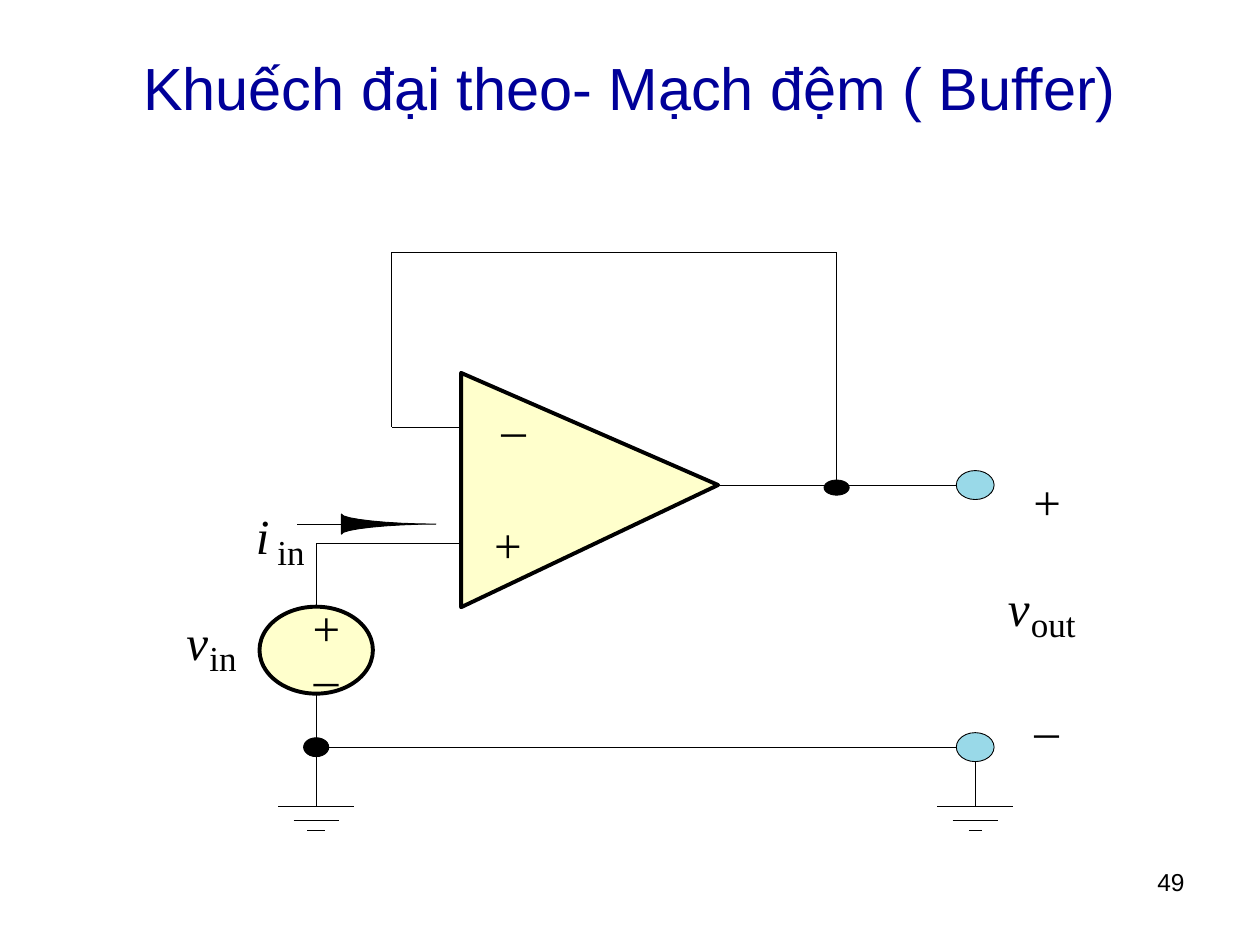
import pptx
import pptx.dml.color
import pptx.enum.shapes
import pptx.enum.text
import pptx.oxml.ns
import pptx.util
from lxml import etree

Inches = pptx.util.Inches
ALIGN = pptx.enum.text.PP_ALIGN
ANCHOR = pptx.enum.text.MSO_ANCHOR
BLACK, CREAM, AQUA, NAVY = "000000", "FFFFCC", "99D9E8", "000099"
HAIRLINE, BOLD_LINE = 0.5, 2.25
SYMBOL = {"size": pptx.util.Pt(28), "name": "Times New Roman"}
VARIABLE = {**SYMBOL, "italic": True}
SUBSCRIPT = {**SYMBOL, "size": pptx.util.Pt(20)}


def color(hex_value):
    return pptx.dml.color.RGBColor.from_string(hex_value)


def style(shape, fill, width=HAIRLINE):
    shape.shadow.inherit = False
    shape.fill.solid()
    shape.fill.fore_color.rgb = color(fill)
    shape.line.color.rgb = color(BLACK)
    shape.line.width = pptx.util.Pt(width)


def add_text(page, box, text, font, ink=BLACK, align=ALIGN.CENTER,
             anchor=ANCHOR.TOP, wrap=False, insets=(0, 0)):
    frame = page.shapes.add_textbox(*map(Inches, box)).text_frame
    side, end = map(Inches, insets)
    layout = {"word_wrap": wrap, "vertical_anchor": anchor,
              "margin_left": side, "margin_right": side,
              "margin_top": end, "margin_bottom": end}
    for name, value in layout.items():
        setattr(frame, name, value)
    para = frame.paragraphs[0]
    para.alignment = align
    span = para.add_run()
    span.text = text
    for name, value in font.items():
        setattr(span.font, name, value)
    span.font.color.rgb = color(ink)


def add_wire(page, *points):
    for start, end in zip(points, points[1:]):
        wire = page.shapes.add_connector(
            pptx.enum.shapes.MSO_CONNECTOR.STRAIGHT,
            *map(Inches, start + end))
        wire.line.color.rgb = color(BLACK)
        wire.line.width = pptx.util.Pt(HAIRLINE)
        etree.SubElement(wire.element.spPr, pptx.oxml.ns.qn("a:effectLst"))


def add_oval(page, center, size, fill, width=HAIRLINE):
    box = (center[0] - size[0] / 2, center[1] - size[1] / 2, *size)
    oval = page.shapes.add_shape(pptx.enum.shapes.MSO_SHAPE.OVAL, *map(Inches, box))
    style(oval, fill, width)


def add_outline(page, points, fill, width=HAIRLINE):
    corners = [tuple(map(Inches, point)) for point in points]
    builder = page.shapes.build_freeform(*corners[0], scale=1.0)
    builder.add_line_segments(corners[1:], close=True)
    style(builder.convert_to_shape(), fill, width)


def add_variable(page, x, y, letter, width, subscript, offset, sub_width):
    add_text(page, (x, y, width, 0.47), letter, VARIABLE)
    add_text(page, (x + offset, y + 0.2, sub_width, 0.33), subscript, SUBSCRIPT)


def add_ground(page, x, y, tip):
    for half, drop in ((0.3, 0), (0.18, 0.11), (tip, 0.19)):
        add_wire(page, (x - half, y + drop), (x + half, y + drop))


def add_feedback(page, box):
    left, top, width, height = box
    right, bottom = left + width, top + height
    add_wire(page, (left + 0.55, top + 1.39), (left, top + 1.39),
             (left, top), (right, top), (right, bottom))


def add_amplifier(page, box):
    left, top, width, height = box
    add_outline(page, [(left + width, top + 0.89), (left, top),
                       (left, top + height)], CREAM, BOLD_LINE)
    add_text(page, (left + 0.32, top + 0.2, 0.19, 0.47), "–", SYMBOL)
    add_text(page, (left + 0.26, top + 1.12, 0.22, 0.47), "+", SYMBOL)


def add_source(page, box):
    left, top, width, height = box
    x = left + 0.45
    add_wire(page, (left + width, top), (x, top), (x, top + height))
    add_oval(page, (x, top + 0.85), (0.9, 0.69), CREAM, BOLD_LINE)
    add_text(page, (x - 0.03, top + 0.43, 0.22, 0.47), "+", SYMBOL)
    add_text(page, (x - 0.02, top + 0.7, 0.19, 0.47), "_", SYMBOL)
    add_variable(page, left - 0.58, top + 0.54, "v", 0.17, "in", 0.18, 0.22)
    add_ground(page, x, top + height, 0.07)


def add_current(page, box):
    left, top, width, height = box
    middle = top + height / 2
    base, tip = left + 0.68, left + width
    add_variable(page, left, top - 0.07, "i", 0.11, "in", 0.17, 0.22)
    add_wire(page, (base - 0.35, middle), (base, middle))
    # Each edge of the head is a cubic curve flattening toward the tip
    steps = [step / 8 for step in range(9)]
    edge = [(base + (tip - base) * (1.5 * t * t - 0.5 * t ** 3),
             height / 2 * ((1 - t) ** 3 + 1.5 * t * (1 - t) ** 2))
            for t in steps]
    lower = [(x, middle + rise) for x, rise in edge]
    upper = [(x, middle - rise) for x, rise in reversed(edge[:-1])]
    add_outline(page, lower + upper, BLACK)


def add_output(page, box):
    left, top, width, height = box
    x, bottom = left + width, top + 2.08
    add_wire(page, (left + 3.19, top), (x, top))
    add_wire(page, (left, bottom), (x, bottom), (x, top + height))
    for y in (top, bottom):
        add_oval(page, (x, y), (0.3, 0.23), AQUA)
    add_oval(page, (left + 4.13, top + 0.02), (0.2, 0.12), BLACK)
    add_oval(page, (left, bottom), (0.2, 0.15), BLACK)
    add_text(page, (x + 0.46, top - 0.11, 0.22, 0.47), "+", SYMBOL)
    add_text(page, (x + 0.47, bottom - 0.38, 0.19, 0.47), "–", SYMBOL)
    add_variable(page, x + 0.26, top + 0.73, "v", 0.17, "out", 0.18, 0.36)
    add_ground(page, x, top + height, 0.05)


def main():
    deck = pptx.Presentation()
    deck.slide_width, deck.slide_height = Inches(10), Inches(7.5)
    page = deck.slides.add_slide(deck.slide_layouts[6])

    # Title and page number
    add_text(page, (0.5, 0.3, 9, 0.78), "Khuếch đại theo- Mạch đệm ( Buffer)",
             {"size": pptx.util.Pt(34), "name": "Arial"}, NAVY,
             anchor=ANCHOR.MIDDLE, wrap=True, insets=(0.1, 0.05))
    add_text(page, (7.17, 6.83, 2.33, 0.52), "49",
             {"size": pptx.util.Pt(14), "name": "Arial"},
             align=ALIGN.RIGHT, wrap=True, insets=(0.1, 0.05))

    # Buffer circuit
    add_source(page, (2.06, 4.31, 1.6, 2.09))
    add_feedback(page, (3.11, 2, 3.53, 1.85))
    add_output(page, (2.51, 3.85, 5.23, 2.55))
    add_amplifier(page, (3.66, 2.96, 2.04, 1.86))
    add_current(page, (2.03, 4.08, 1.43, 0.16))

    deck.save("out.pptx")


if __name__ == "__main__":
    main()
